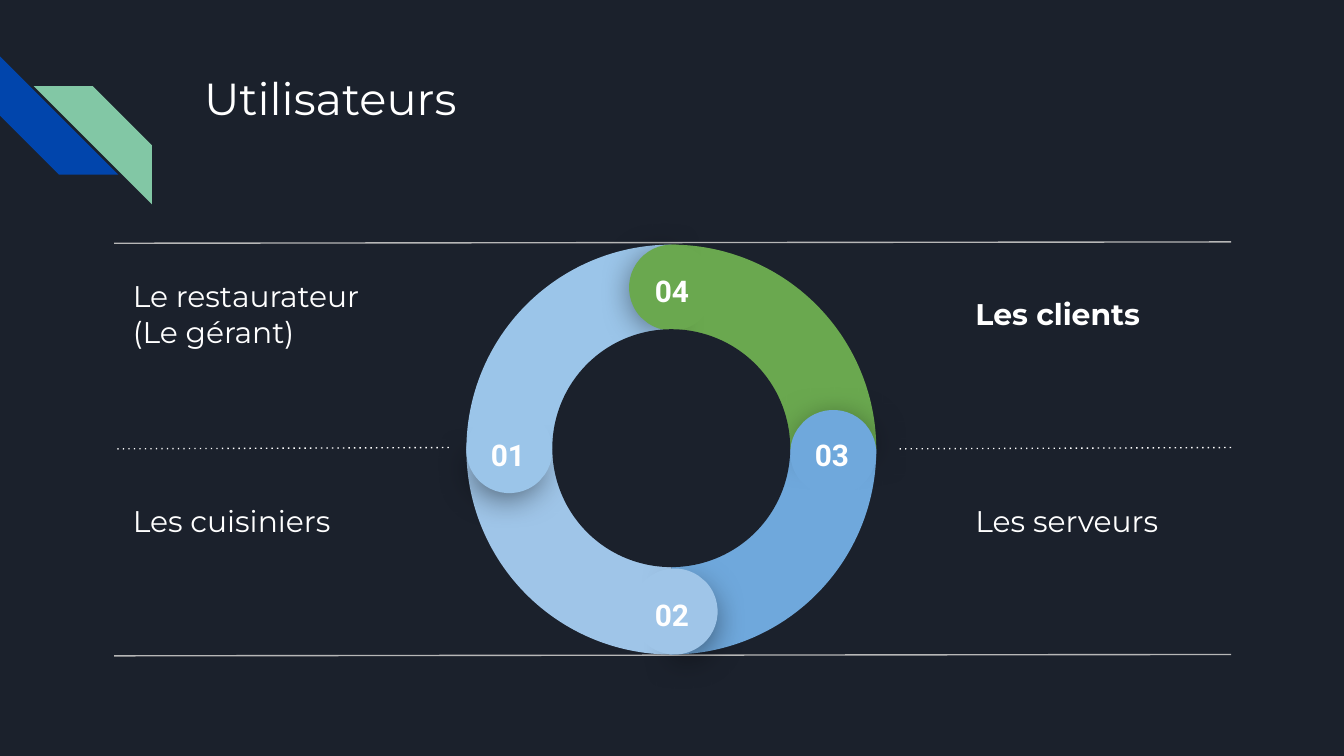
from lxml import etree
from pptx import Presentation
from pptx.dml.color import RGBColor
from pptx.enum import dml, shapes, text
from pptx.oxml import parse_xml
from pptx.oxml.ns import nsdecls, qn
from pptx.util import Inches, Pt

NAVY = RGBColor(0x1B, 0x21, 0x2C)
WHITE = RGBColor(0xFF, 0xFF, 0xFF)
GREY = RGBColor(0xB7, 0xB7, 0xB7)
ROYAL = RGBColor(0x01, 0x45, 0xAC)
MINT = RGBColor(0x82, 0xC7, 0xA5)
SKY = RGBColor(0x9B, 0xC5, 0xE9)
PALE = RGBColor(0x9F, 0xC5, 0xE8)
BLUE = RGBColor(0x6F, 0xA8, 0xDC)
GREEN = RGBColor(0x6A, 0xA8, 0x4F)

SHADOW = (
    f'<a:effectLst {nsdecls("a")}>'
    '<a:outerShdw blurRad="228600" dist="50800" dir="5400000" algn="bl" rotWithShape="0">'
    '<a:srgbClr val="000000"><a:alpha val="55000"/></a:srgbClr>'
    '</a:outerShdw></a:effectLst>'
)

presentation = Presentation()
presentation.slide_width = Inches(10)
presentation.slide_height = Inches(10) * 9 // 16
slide = presentation.slides.add_slide(presentation.slide_layouts[6])
slide.background.fill.solid()
slide.background.fill.fore_color.rgb = NAVY


def add_filled(kind, left, top, size, color, rotation=0, adjustments=()):
    shape = slide.shapes.add_shape(kind, Inches(left), Inches(top), Inches(size), Inches(size))
    shape.shadow.inherit = False
    shape.fill.solid()
    shape.fill.fore_color.rgb = color
    shape.line.fill.background()
    shape.rotation = rotation
    for index, value in enumerate(adjustments):
        shape.adjustments[index] = value
    return shape


def add_text(lines, box, size, font="Montserrat", bold=False,
             align=text.PP_ALIGN.LEFT, anchor=text.MSO_ANCHOR.TOP):
    frame = slide.shapes.add_textbox(*[Inches(value) for value in box]).text_frame
    frame.word_wrap = True
    frame.vertical_anchor = anchor
    frame.margin_left = frame.margin_right = Inches(0.1)
    frame.margin_top = frame.margin_bottom = Inches(0.1)
    for index, line in enumerate(lines):
        paragraph = frame.add_paragraph() if index else frame.paragraphs[0]
        paragraph.alignment = align
        run = paragraph.add_run()
        run.text = line
        run.font.name = font
        run.font.size = Pt(size)
        run.font.bold = bold
        run.font.color.rgb = WHITE


add_filled(shapes.MSO_SHAPE.DIAGONAL_STRIPE, 0, 0.42, 0.88, ROYAL, 270, [0.5])
stripe = add_filled(shapes.MSO_SHAPE.DIAGONAL_STRIPE, 0.25, 0.64, 0.88, MINT, 0, [0.5])
stripe._element.spPr.find(qn("a:xfrm")).set("flipH", "1")

add_text(["Utilisateurs"], (1.42, 0.43, 7.7, 1), 24)

users = [
    (["Le restaurateur", "(Le gérant)"], 0.89, 2.09, False),
    (["Les cuisiniers"], 0.89, 3.63, False),
    (["Les clients"], 7.16, 2.09, True),
    (["Les serveurs"], 7.16, 3.63, False),
]
for lines, left, top, bold in users:
    add_text(lines, (left, top, 2.03, 0.49), 16, bold=bold, anchor=text.MSO_ANCHOR.MIDDLE)

rules = [
    (9.16, 0.85, 1.8, GREY, False),
    (3.34, 0.85, 3.33, WHITE, True),
    (9.16, 6.67, 3.33, WHITE, True),
    (9.16, 0.85, 4.87, GREY, False),
]
for start, end, top, color, dotted in rules:
    rule = slide.shapes.add_connector(
        shapes.MSO_CONNECTOR.STRAIGHT,
        Inches(start), Inches(top), Inches(end), Inches(top + 0.01))
    rule.line.color.rgb = color
    rule.line.width = Pt(0.75)
    if dotted:
        rule.line.dash_style = dml.MSO_LINE.ROUND_DOT
        rule._element.spPr.find(".//" + qn("a:prstDash")).set("val", "dot")
    etree.SubElement(rule._element.spPr, qn("a:effectLst"))

for quarter, color in enumerate([SKY, GREEN, BLUE, PALE]):
    add_filled(shapes.MSO_SHAPE.PIE, 3.47, 1.82, 3.05, color, 90 * quarter, [107.96, 162.01])

caps = [
    ("01", SKY, 0, (3.48, 3.07), (3.47, 3.03), (3.5, 3.15), (189.54, 83.81)),
    ("02", PALE, 270, (4.74, 4.28), (4.7, 4.23), (4.72, 4.34), (189.54, 83.81)),
    ("03", BLUE, 180, (5.93, 3.07), (5.88, 3.05), (5.91, 3.15), (196.87, 77.71)),
    ("04", GREEN, 90, (4.7, 1.83), (4.68, 1.82), (4.72, 1.93), (189.54, 83.81)),
]
for number, color, turn, pie_at, chord_at, label_at, angles in caps:
    pie = add_filled(shapes.MSO_SHAPE.PIE, *pie_at, 0.57, color, turn + 39.5, angles)
    properties = pie._element.spPr
    properties.replace(properties.find(qn("a:effectLst")), parse_xml(SHADOW))
    add_filled(shapes.MSO_SHAPE.CHORD, *chord_at, 0.64, color, turn + 4.1, [25.01, 18.12])
    add_text([number], (*label_at, 0.56, 0.29), 16, "Roboto", True, text.PP_ALIGN.CENTER)

add_filled(shapes.MSO_SHAPE.OVAL, 4.11, 2.45, 1.77, NAVY)

presentation.save("out.pptx")
